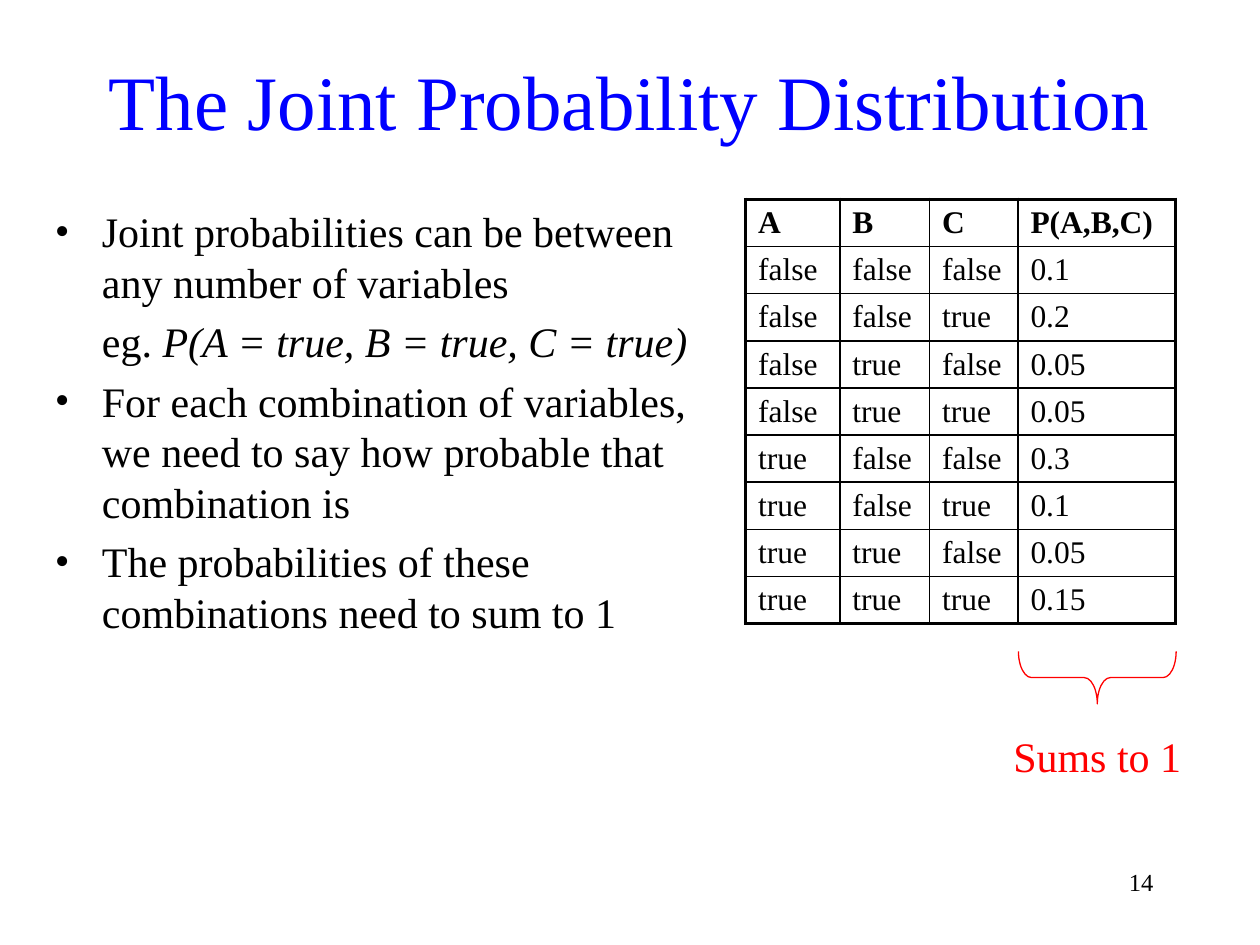
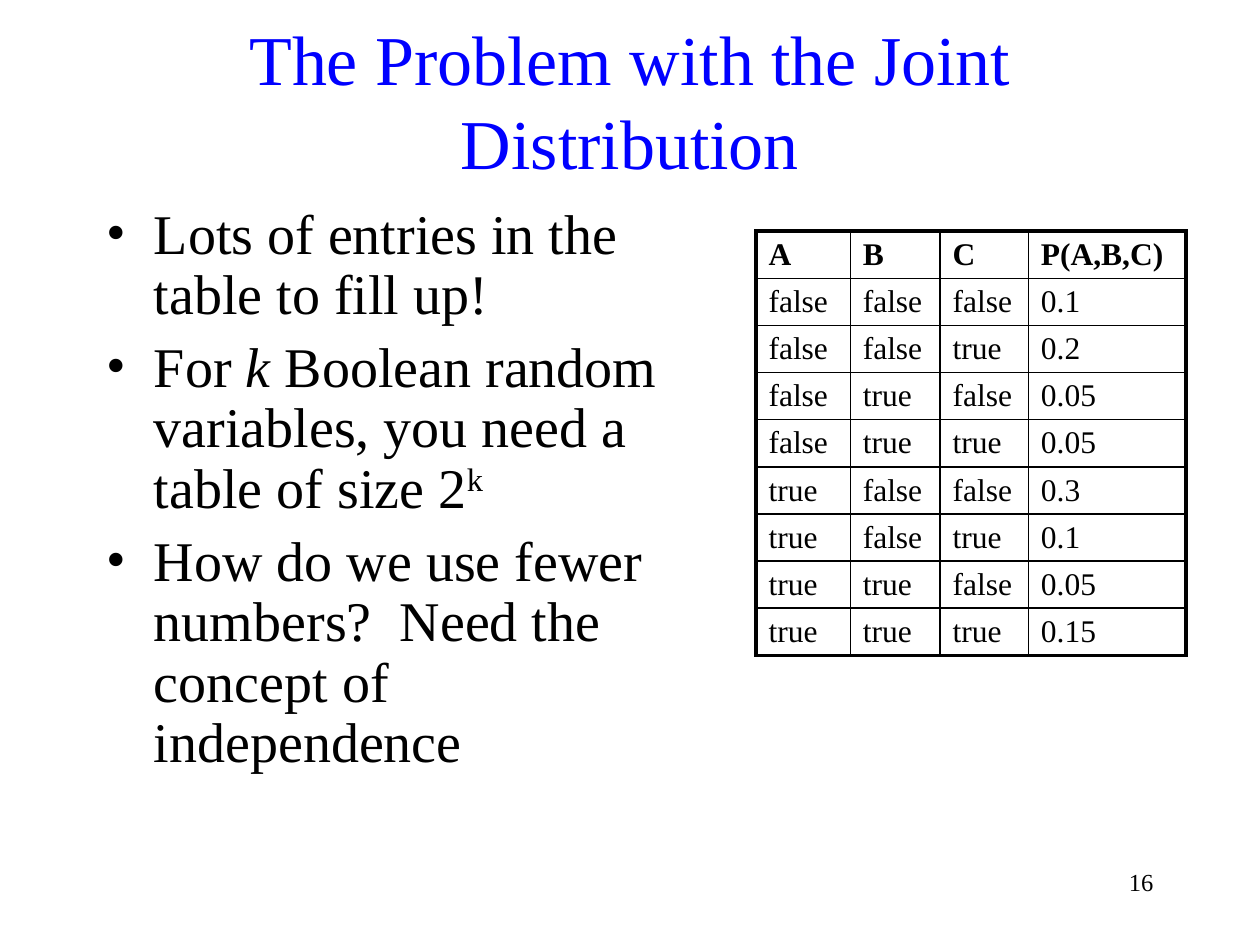
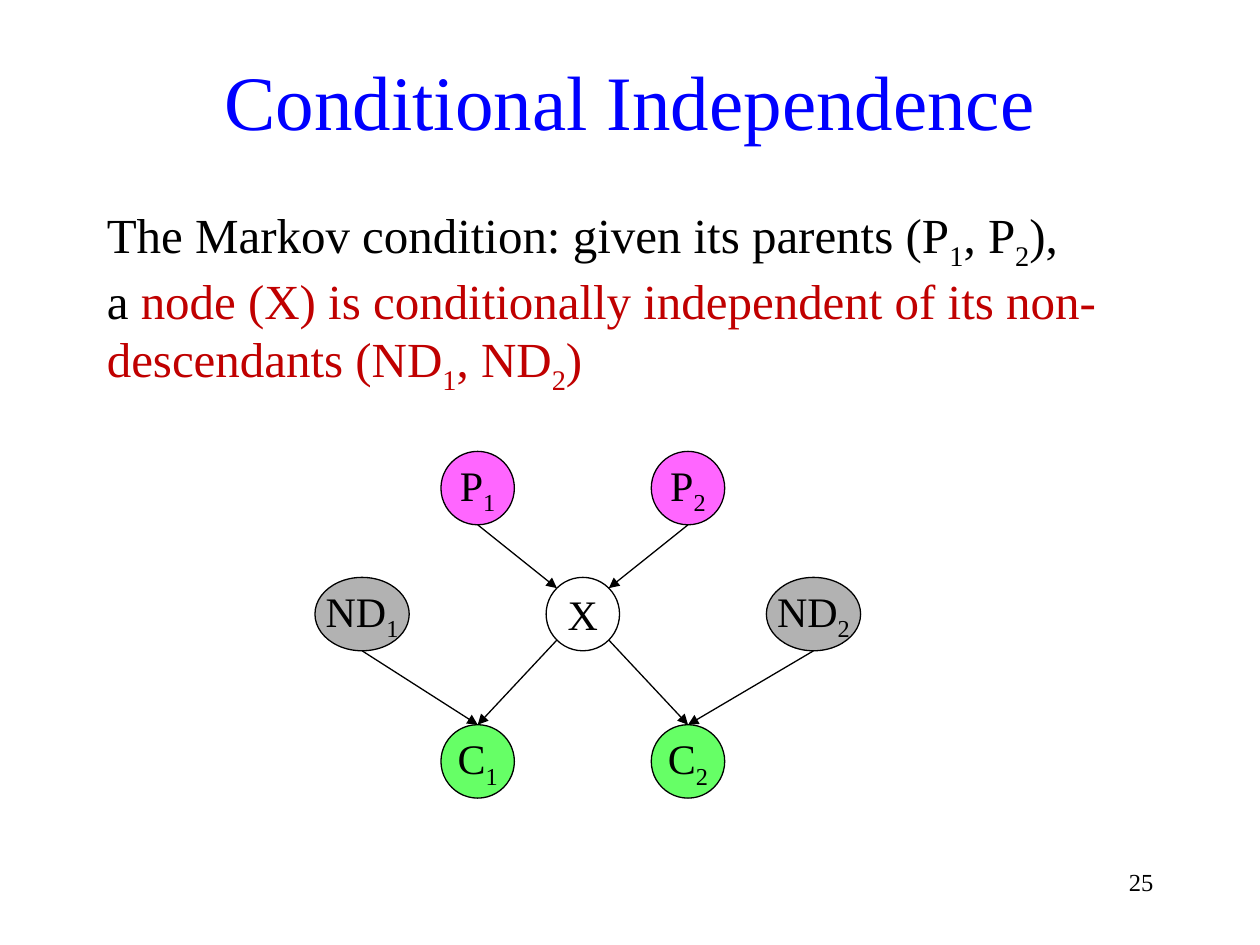
from dataclasses import dataclass
from math import sqrt

from lxml import etree
from pptx import Presentation
from pptx.dml.color import RGBColor
from pptx.enum.shapes import MSO_CONNECTOR, MSO_SHAPE
from pptx.enum.text import MSO_ANCHOR, MSO_AUTO_SIZE, PP_ALIGN
from pptx.oxml.ns import qn
from pptx.util import Cm, Pt

LEFT, CENTER, RIGHT = PP_ALIGN.LEFT, PP_ALIGN.CENTER, PP_ALIGN.RIGHT
TOP, MIDDLE = MSO_ANCHOR.TOP, MSO_ANCHOR.MIDDLE
OVAL, RIGHT_BRACE = MSO_SHAPE.OVAL, MSO_SHAPE.RIGHT_BRACE
STRAIGHT = MSO_CONNECTOR.STRAIGHT
NO_AUTOFIT = MSO_AUTO_SIZE.NONE


@dataclass(frozen=True)
class Theme:
    font: str = "Times New Roman"
    ink: str = "000000"
    title: str = "0000FF"
    note: str = "FF0000"
    emphasis: str = "C00000"
    parent: str = "FF66FF"
    child: str = "66FF66"
    other: str = "B2B2B2"
    title_size: int = 44
    long_title_size: int = 40
    label_size: int = 24
    table_size: int = 18
    number_size: int = 14
    thin: float = 0.75
    inner_border: float = 1
    outer_border: float = 2.25


THEME = Theme()

# Content: a run is a string or (string, format); a paragraph is a list of runs
ITALIC = {"italic": True}
RED = {"color": THEME.emphasis}
SUB, SUPER = {"baseline": -25}, {"baseline": 30}
RED_SUB = {**RED, **SUB}

JOINT_POINTS = [
    ["Joint probabilities can be between any number of variables"],
    ["eg. ", ("P(A = true, B = true, C = true)", ITALIC)],
    ["For each combination of variables, we need to say how probable that "
     "combination is"],
    ["The probabilities of these combinations need to sum to 1"],
]
JOINT_BULLETS = [True, False, True, True]

PROBLEM_POINTS = [
    ["Lots of entries in the table to fill up!"],
    ["For ", ("k", ITALIC), " Boolean random variables, you need a table of size 2",
     ("k", SUPER)],
    ["How do we use fewer numbers?  Need the concept of independence"],
]

MARKOV_CONDITION = [
    ["The Markov condition: given its parents (P", ("1", SUB), ", P", ("2", SUB), "),"],
    ["a ", ("node (X) is conditionally independent of its non-descendants (ND", RED),
     ("1", RED_SUB), (", ND", RED), ("2", RED_SUB), (")", RED)],
]

VARIABLES = ["A", "B", "C"]
PROBABILITIES = ["0.1", "0.2", "0.05", "0.05", "0.3", "0.1", "0.05", "0.15"]

# Network nodes: name -> (letter, index, centre x, centre y, width, fill), in cm
NODE_HEIGHT = 1.48
PARENT_Y, MIDDLE_Y, CHILD_Y = 9.84, 12.38, 15.35
NODES = {
    "X": ("X", "", 11.75, MIDDLE_Y, 1.48, None),
    "P1": ("P", "1", 9.63, PARENT_Y, 1.48, THEME.parent),
    "P2": ("P", "2", 13.87, PARENT_Y, 1.48, THEME.parent),
    "C1": ("C", "1", 9.63, CHILD_Y, 1.48, THEME.child),
    "C2": ("C", "2", 13.87, CHILD_Y, 1.48, THEME.child),
    "ND2": ("ND", "2", 16.4, MIDDLE_Y, 1.9, THEME.other),
    "ND1": ("ND", "1", 7.3, MIDDLE_Y, 1.9, THEME.other),
}
DIAGONAL = 1 / sqrt(2)
RIM = {
    "top": (0, -1), "bottom": (0, 1),
    "top left": (-DIAGONAL, -DIAGONAL), "top right": (DIAGONAL, -DIAGONAL),
    "bottom left": (-DIAGONAL, DIAGONAL), "bottom right": (DIAGONAL, DIAGONAL),
}
ARROWS = [
    ("P1", "bottom", "X", "top left"),
    ("P2", "bottom", "X", "top right"),
    ("X", "bottom right", "C2", "top"),
    ("X", "bottom left", "C1", "top"),
    ("ND1", "bottom", "C1", "top"),
    ("ND2", "bottom", "C2", "top"),
]

# Layout, in cm
TITLE_BOX = (1.9, 0.42, 21.6, 3.18)
NUMBER_BOX = (20.75, 17.35, 2.75, 1.27)
BODY_TOP = 4.02
COLUMN_WIDTHS = [1.9, 1.81, 1.78, 3.18]
ROW_HEIGHT = 0.95
BULLET_INDENT = 0.95


def place(shape, box):
    shape.left, shape.top, shape.width, shape.height = map(Cm, box)


def set_bullet(paragraph, bullet):
    """Indent a paragraph; bullet is True, False (hanging text) or None (flush)."""
    properties = paragraph._p.get_or_add_pPr()
    indent = 0 if bullet is None else Cm(BULLET_INDENT)
    properties.set("marL", str(indent))
    properties.set("indent", str(-indent if bullet else 0))
    if bullet:
        etree.SubElement(properties, qn("a:buFont"), typeface=THEME.font)
        etree.SubElement(properties, qn("a:buChar"), char="•")
    else:
        etree.SubElement(properties, qn("a:buNone"))


def write_text(frame, paragraphs, size=THEME.label_size, color=THEME.ink, bold=False,
               align=LEFT, anchor=TOP, wrap=True, spacing=None, bullets=None):
    """Fill a text frame with paragraphs of formatted runs."""
    frame.word_wrap = wrap
    frame.vertical_anchor = anchor
    for index, runs in enumerate(paragraphs):
        paragraph = frame.add_paragraph() if index else frame.paragraphs[0]
        set_bullet(paragraph, bullets[index] if bullets else None)
        paragraph.alignment = align
        paragraph.space_before = Pt(round(size * 0.22, 1)) if index else Pt(0)
        if spacing:
            paragraph.line_spacing = spacing
        for item in runs:
            text, style = (item, {}) if isinstance(item, str) else item
            run = paragraph.add_run()
            run.text = text
            run.font.name = THEME.font
            run.font.size = Pt(size)
            run.font.bold = bold
            run.font.italic = style.get("italic", False)
            run.font.color.rgb = RGBColor.from_string(style.get("color", color))
            if "baseline" in style:
                run._r.get_or_add_rPr().set("baseline", str(style["baseline"] * 1000))


def add_label(slide, box, text, **style):
    label = slide.shapes.add_textbox(*map(Cm, box))
    write_text(label.text_frame, [[text]], **style)


def add_slide(presentation, number, title, body, body_box, title_size=THEME.title_size,
              **body_style):
    """Add a slide with its page number, title and body text."""
    slide = presentation.slides.add_slide(presentation.slide_layouts[1])
    title_shape, body_shape = slide.shapes.title, slide.placeholders[1]
    for shape, box in ((title_shape, TITLE_BOX), (body_shape, body_box)):
        place(shape, box)
        shape.text_frame.auto_size = NO_AUTOFIT
    write_text(title_shape.text_frame, [[title]], size=title_size, color=THEME.title,
               align=CENTER, anchor=MIDDLE)
    write_text(body_shape.text_frame, body, **body_style)
    add_label(slide, NUMBER_BOX, str(number), size=THEME.number_size, align=RIGHT)
    return slide


def set_borders(cell, widths):
    """Draw the left, right, top and bottom borders of a cell, widths in points."""
    properties = cell._tc.get_or_add_tcPr()
    for index, (side, width) in enumerate(zip("LRTB", widths)):
        line = etree.Element(qn(f"a:ln{side}"), w=str(Pt(width)))
        fill = etree.SubElement(line, qn("a:solidFill"))
        etree.SubElement(fill, qn("a:srgbClr"), val=THEME.ink)
        properties.insert(index, line)


def add_joint_table(slide, left, top):
    """Add the truth table of the variables with the joint probabilities."""
    rows = [VARIABLES + [f"P({','.join(VARIABLES)})"]]
    for index, probability in enumerate(PROBABILITIES):
        bits = f"{index:0{len(VARIABLES)}b}"
        rows.append(["true" if bit == "1" else "false" for bit in bits] + [probability])

    row_count, column_count = len(rows), len(COLUMN_WIDTHS)
    table = slide.shapes.add_table(row_count, column_count, Cm(left), Cm(top),
                                   Cm(sum(COLUMN_WIDTHS)),
                                   Cm(ROW_HEIGHT * row_count)).table
    table.first_row = table.horz_banding = False
    for column, width in zip(table.columns, COLUMN_WIDTHS):
        column.width = Cm(width)
    for row_index, values in enumerate(rows):
        table.rows[row_index].height = Cm(ROW_HEIGHT)
        for column_index, value in enumerate(values):
            cell = table.cell(row_index, column_index)
            cell.margin_top = cell.margin_bottom = Cm(0.06)
            cell.vertical_anchor = MIDDLE
            cell.fill.background()
            write_text(cell.text_frame, [[value]], size=THEME.table_size,
                       bold=row_index == 0, anchor=MIDDLE)
            on_edge = (column_index == 0, column_index == column_count - 1,
                       row_index == 0, row_index == row_count - 1)
            set_borders(cell, [THEME.outer_border if edge else THEME.inner_border
                               for edge in on_edge])


def add_outlined_shape(slide, kind, box, line=THEME.ink, fill=None):
    shape = slide.shapes.add_shape(kind, *map(Cm, box))
    shape.shadow.inherit = False
    shape.line.color.rgb = RGBColor.from_string(line)
    shape.line.width = Pt(THEME.thin)
    if fill:
        shape.fill.solid()
        shape.fill.fore_color.rgb = RGBColor.from_string(fill)
    else:
        shape.fill.background()
    return shape


def add_node(slide, letter, index, x, y, width, fill):
    box = (x - width / 2, y - NODE_HEIGHT / 2, width, NODE_HEIGHT)
    node = add_outlined_shape(slide, OVAL, box, fill=fill)
    runs = [letter, (index, SUB)] if index else [letter]
    write_text(node.text_frame, [runs], align=CENTER, anchor=MIDDLE, wrap=False)


def rim_point(name, side):
    x, y, width = NODES[name][2:5]
    across, down = RIM[side]
    return Cm(x + across * width / 2), Cm(y + down * NODE_HEIGHT / 2)


def add_arrow(slide, source, source_side, target, target_side):
    arrow = slide.shapes.add_connector(STRAIGHT, *rim_point(source, source_side),
                                       *rim_point(target, target_side))
    arrow.line.color.rgb = RGBColor.from_string(THEME.ink)
    arrow.line.width = Pt(THEME.thin)
    etree.SubElement(arrow.line._get_or_add_ln(), qn("a:tailEnd"), type="triangle")
    etree.SubElement(arrow._element.spPr, qn("a:effectLst"))


def build_joint_slide(presentation):
    slide = add_slide(presentation, 14, "The Joint Probability Distribution",
                      JOINT_POINTS, (0.85, BODY_TOP, 13.55, 9.1),
                      bullets=JOINT_BULLETS)
    add_joint_table(slide, 15.03, BODY_TOP)
    # Brace under the probability column
    brace = add_outlined_shape(slide, RIGHT_BRACE, (21.59, 12.07, 1.06, 3.18),
                               line=THEME.note)
    brace.rotation = 90
    brace.adjustments[0], brace.adjustments[1] = 0.25, 0.5
    add_label(slide, (20.11, 14.6, 4.02, 1.27), "Sums to 1", color=THEME.note,
              align=CENTER)


def build_problem_slide(presentation):
    slide = add_slide(presentation, 16, "The Problem with the Joint Distribution",
                      PROBLEM_POINTS, (1.9, BODY_TOP, 11.64, 12.9),
                      title_size=THEME.long_title_size, size=32, spacing=0.9,
                      bullets=[True] * len(PROBLEM_POINTS))
    add_joint_table(slide, 15.24, 4.66)


def build_independence_slide(presentation):
    slide = add_slide(presentation, 25, "Conditional Independence", MARKOV_CONDITION,
                      (1.9, BODY_TOP, 21.8, 3.81), size=28, spacing=0.9)
    for node in NODES.values():
        add_node(slide, *node)
    for arrow in ARROWS:
        add_arrow(slide, *arrow)


def main():
    presentation = Presentation()
    presentation.slide_width, presentation.slide_height = Cm(25.4), Cm(19.05)
    build_joint_slide(presentation)
    build_problem_slide(presentation)
    build_independence_slide(presentation)
    presentation.save("out.pptx")


if __name__ == "__main__":
    main()
